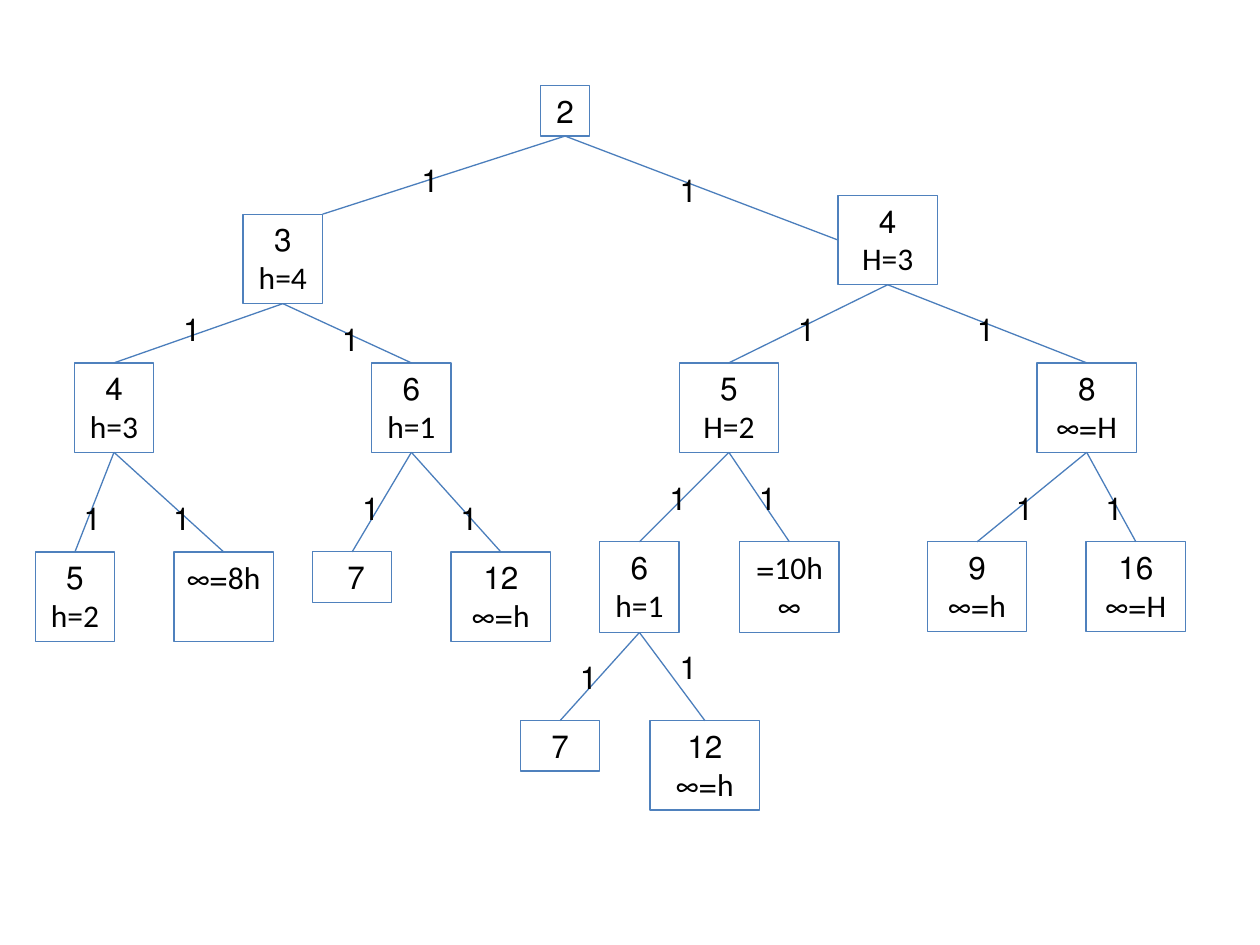
from pptx import Presentation
from pptx.dml.color import RGBColor as RGB
from pptx.enum.shapes import MSO_CONNECTOR as Conn, MSO_SHAPE as Shape
from pptx.enum.text import MSO_ANCHOR as Anchor, MSO_AUTO_SIZE as Fit, PP_ALIGN as Align
from pptx.oxml.ns import qn
from pptx.util import Inches, Pt
from lxml import etree

theme = {"font": "Calibri", "size": Pt(18), "ink": RGB(0, 0, 0), "rule": Pt(0.75),
         "box": RGB(0x4F, 0x81, 0xBD), "edge": RGB(0x4B, 0x7E, 0xBC)}

deck = Presentation()
deck.slide_width, deck.slide_height = Inches(10), Inches(7.5)
slide = deck.slides.add_slide(deck.slide_layouts[6])


def write(shape, text, align):
    frame = shape.text_frame
    frame.text = text
    frame.word_wrap = True
    frame.auto_size = Fit.SHAPE_TO_FIT_TEXT
    frame.vertical_anchor = Anchor.TOP
    for para in frame.paragraphs:
        para.alignment = align
        para.font.name = theme["font"]
        para.font.size = theme["size"]
        para.font.color.rgb = theme["ink"]
        para._p.get_or_add_pPr().set("rtl", "1")


# Tree nodes: key is the route from the root; left, top, width, height, text
nodes = {
    "": (4.29, 0.68, 0.39, 0.4, "2"),
    "L": (1.93, 1.7, 0.63, 0.71, "3 h=4"),
    "R": (6.65, 1.55, 0.79, 0.71, "4\nH=3"),
    "LL": (0.59, 2.88, 0.63, 0.71, "4 h=3"),
    "LR": (2.95, 2.88, 0.63, 0.71, "6 h=1"),
    "RL": (5.39, 2.88, 0.79, 0.71, "5\nH=2"),
    "RR": (8.23, 2.88, 0.79, 0.71, "8\nH=∞"),
    "LLL": (0.28, 4.38, 0.63, 0.71, "5 h=2"),
    "LLR": (1.38, 4.38, 0.79, 0.71, "8h=∞"),
    "LRL": (2.48, 4.38, 0.63, 0.4, "7 "),
    "LRR": (3.58, 4.38, 0.79, 0.71, "12\nh=∞"),
    "RLL": (4.76, 4.3, 0.63, 0.72, "6 h=1"),
    "RLR": (5.87, 4.3, 0.79, 0.72, "10h=∞"),
    "RRL": (7.36, 4.3, 0.79, 0.71, "9 h=∞"),
    "RRR": (8.62, 4.3, 0.79, 0.71, "16\nH=∞"),
    "RLLL": (4.13, 5.72, 0.63, 0.4, "7"),
    "RLLR": (5.16, 5.72, 0.87, 0.71, "12 h=∞"),
}
boxes = {}
for key, (left, top, width, height, text) in nodes.items():
    box = slide.shapes.add_shape(Shape.RECTANGLE, Inches(left), Inches(top),
                                 Inches(width), Inches(height))
    box.shadow.inherit = False
    box.fill.background()
    box.line.color.rgb = theme["box"]
    box.line.width = theme["rule"]
    write(box, text, Align.CENTER)
    boxes[key] = box

# Edges run from the parent's bottom to the child's top
TOP, LEFT, BOTTOM = 0, 1, 2
for key, child in boxes.items():
    if not key:
        continue
    corner = child.left + child.width
    edge = slide.shapes.add_connector(Conn.STRAIGHT, 0, 0, corner, child.top)
    edge.begin_connect(boxes[key[:-1]], BOTTOM)
    if key != "L":  # this one ends on the child's top right corner
        edge.end_connect(child, LEFT if key == "R" else TOP)
    edge.line.color.rgb = theme["edge"]
    edge.line.width = theme["rule"]
    etree.SubElement(edge._element.spPr, qn("a:effectLst"))

# Edge costs
costs = [(3.19, 1.23), (5.24, 1.31), (1.3, 2.41), (2.56, 2.49),
         (6.18, 2.41), (7.6, 2.41), (0.51, 3.91), (1.22, 3.91),
         (2.72, 3.83), (3.5, 3.91), (5.16, 3.75), (5.87, 3.75),
         (7.91, 3.83), (8.62, 3.83), (4.45, 5.17), (5.24, 5.09)]
for left, top in costs:
    cost = slide.shapes.add_textbox(Inches(left), Inches(top), Inches(0.39), Inches(0.4))
    write(cost, "1", Align.RIGHT)

deck.save("out.pptx")
